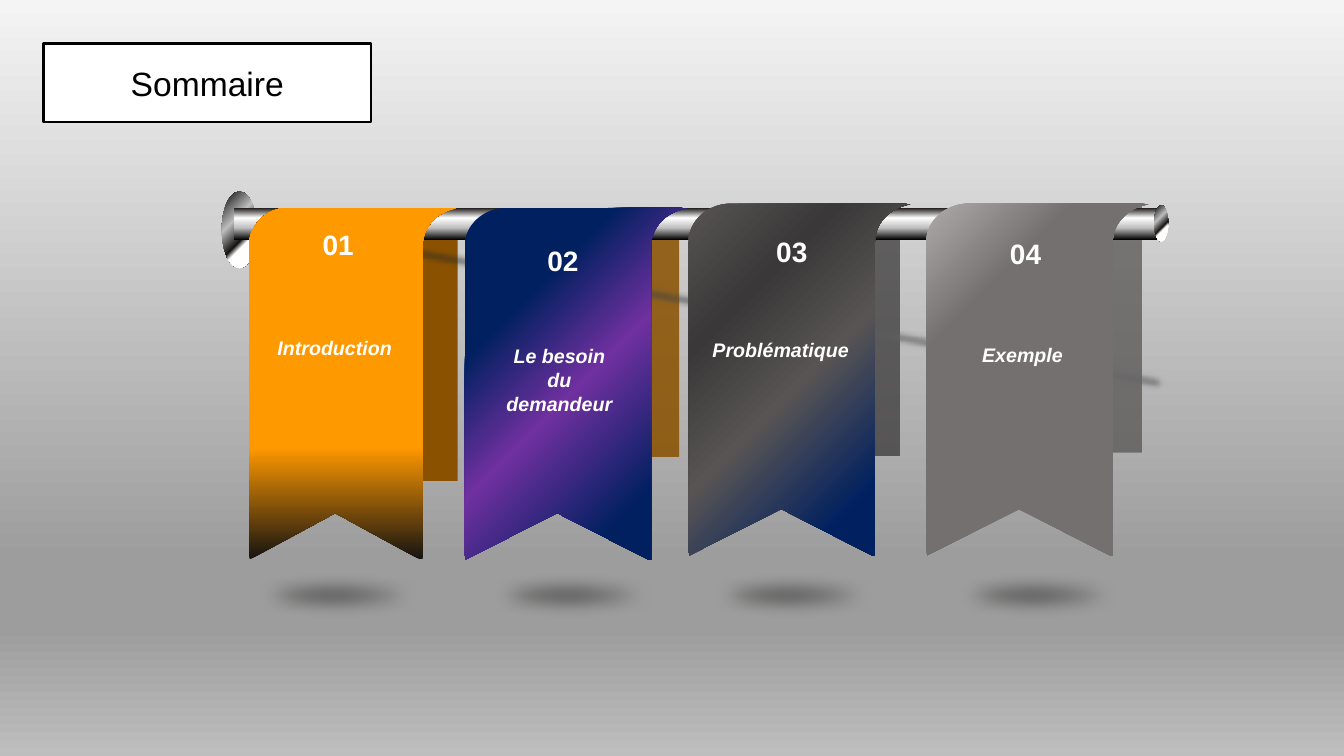
from dataclasses import dataclass

from lxml import etree
from pptx import Presentation
from pptx.dml.color import RGBColor as RGB
from pptx.enum.shapes import MSO_SHAPE as SHAPE
from pptx.enum.text import MSO_ANCHOR as ANCHOR, PP_ALIGN as ALIGN
from pptx.oxml import parse_xml
from pptx.oxml.ns import nsdecls, qn
from pptx.util import Pt


@dataclass(frozen=True)
class Theme:
    font: str = "Arial"
    title_size: int = 24
    number_size: int = 20
    label_size: int = 14
    white: str = "FFFFFF"
    black: str = "000000"
    orange_fold: str = "8A5200"
    grey_fold: str = "585454"
    dark_fold: str = "3A3838"
    # Gradient stops: position, colour, optional opacity (all in percent)
    backdrop: tuple = ((0, "F4F4F4"), (74, "9D9D9D"), (83, "9D9D9D"), (100, "BEBEBE"))
    rod: tuple = ((0, "151311"), (32, "FFFFFF"), (63, "BFBFBF"), (100, "000000"))
    cap: tuple = ((32, "FFFFFF"), (39, "151311"), (63, "BFBFBF"), (100, "000000"))
    shade: tuple = ((0, "151311", 63), (77, "666666"))
    orange: tuple = ((0, "151311"), (32, "FF9900"), (100, "FF9900"))
    violet: tuple = ((18, "002060"), (49, "7030A0"), (74, "002060"), (100, "002060"))
    dark: tuple = ((18, "002060"), (49, "585454"), (74, "3A3838"), (100, "585454"))
    grey: tuple = ((18, "757070"), (74, "757070"), (100, "AFABAB"))


def colour_xml(colour, opacity=100):
    return f'<a:srgbClr val="{colour}"><a:alpha val="{opacity * 1000}"/></a:srgbClr>'


def gradient_xml(stops, angle):
    """A linear gradient, or one spreading from the lower right corner if angle is None."""
    stop_list = "".join(f'<a:gs pos="{pos * 1000}">{colour_xml(*colour)}</a:gs>'
                        for pos, *colour in stops)
    if angle is None:
        course = ('<a:path path="circle">'
                  '<a:fillToRect l="100000" t="100000"/></a:path>')
    else:
        course = f'<a:lin ang="{angle * 60000}" scaled="0"/>'
    return (f'<a:gradFill {nsdecls("a")} rotWithShape="1">'
            f'<a:gsLst>{stop_list}</a:gsLst>{course}</a:gradFill>')


def bezier(p0, p1, p2, p3, steps=16):
    """Points along a cubic curve, without its start."""
    for i in range(1, steps + 1):
        t = i / steps
        u = 1 - t
        yield tuple(u**3 * a + 3 * u * u * t * b + 3 * u * t * t * c + t**3 * d
                    for a, b, c, d in zip(p0, p1, p2, p3))


# Banner outline for a width of 158.4 pt
BANNER_WIDTH = 158.4
BANNER_OUTLINE = [
    (30.5, 0), (153.4, 0), (158.4, 0.7), (157.7, 0.7),
    *bezier((157.7, 0.7), (143.3, 3.6), (133.2, 14.4), (133.2, 27.4)),
    (133.2, 251.3), (131, 251.3), (66.2, 218.2), (0.7, 251.3), (0, 247), (0, 27.4),
    *bezier((0, 27.4), (0, 12.2), (13.7, 0), (30.5, 0)),
]


class Deck:
    def __init__(self, theme):
        self.theme = theme
        self.prs = Presentation()
        self.prs.slide_width, self.prs.slide_height = Pt(960), Pt(540)
        self.s = self.prs.slides.add_slide(self.prs.slide_layouts[6])

    def set_fill(self, fill, element, xml):
        fill.solid()
        solid = element.find(".//" + qn("a:solidFill"))
        solid.getparent().replace(solid, parse_xml(xml))

    def background(self, stops, angle):
        self.set_fill(self.s.background.fill, self.s.element, gradient_xml(stops, angle))

    def finish(self, sp, xml):
        sp.shadow.inherit = False
        sp.line.fill.background()
        self.set_fill(sp.fill, sp.element, xml)

    def shape(self, kind, box, xml, rotation=0, soft_edge=0):
        sp = self.s.shapes.add_shape(kind, *map(Pt, box))
        sp.rotation = rotation
        self.finish(sp, xml)
        if soft_edge:
            effects = sp.element.spPr.find(qn("a:effectLst"))
            etree.SubElement(effects, qn("a:softEdge"), rad=str(int(Pt(soft_edge))))
        return sp

    def solid(self, box, colour, opacity=100):
        xml = f'<a:solidFill {nsdecls("a")}>{colour_xml(colour, opacity)}</a:solidFill>'
        return self.shape(SHAPE.RECTANGLE, box, xml)

    def banner(self, left, top, width, stops, angle):
        ratio = width / BANNER_WIDTH
        points = [(Pt(left + x * ratio), Pt(top + y)) for x, y in BANNER_OUTLINE]
        builder = self.s.shapes.build_freeform(*points[0])
        builder.add_line_segments(points[1:], close=True)
        self.finish(builder.convert_to_shape(), gradient_xml(stops, angle))

    def fill_text(self, tf, lines, size, colour, bold=False, italic=False):
        tf.word_wrap = True
        for i, line in enumerate(lines):
            p = tf.paragraphs[0] if i == 0 else tf.add_paragraph()
            p.text = line
            p.alignment = ALIGN.CENTER
            p.font.name, p.font.size = self.theme.font, Pt(size)
            p.font.bold, p.font.italic = bold, italic
            p.font.color.rgb = RGB.from_string(colour)

    def text(self, box, lines, size, italic=False):
        tf = self.s.shapes.add_textbox(*map(Pt, box)).text_frame
        tf.margin_left = tf.margin_top = tf.margin_right = tf.margin_bottom = 0
        self.fill_text(tf, lines, size, self.theme.white, bold=True, italic=italic)

    def title(self, box, text):
        sp = self.solid(box, self.theme.white)
        sp.line.color.rgb = RGB.from_string(self.theme.black)
        sp.line.width = Pt(2)
        sp.text_frame.vertical_anchor = ANCHOR.MIDDLE
        self.fill_text(sp.text_frame, [text], self.theme.title_size, self.theme.black)


def main():
    theme = Theme()
    deck = Deck(theme)
    deck.background(theme.backdrop, 90)

    # Folds hanging behind the rod
    for box, colour, opacity in [
        ((764.6, 145.4, 51, 178), theme.grey_fold, 75),
        ((434.2, 148.3, 51, 178), theme.orange_fold, 86),
        ((591.8, 147.6, 51, 178), theme.dark_fold, 75),
        ((250.6, 149.8, 76.3, 193.7), theme.orange_fold, 100),
    ]:
        deck.solid(box, colour, opacity)

    # Rod with its end caps and its shadow on the wall
    shade, cap = gradient_xml(theme.shade, 0), gradient_xml(theme.cap, None)
    deck.shape(SHAPE.OVAL, (158.4, 136.8, 25.2, 54.7), cap)
    deck.shape(SHAPE.RECTANGLE, (168, 208, 670, 16.6), shade, rotation=9.9, soft_edge=5)
    deck.shape(SHAPE.RECTANGLE, (167, 148.3, 662, 23), gradient_xml(theme.rod, 90))
    deck.shape(SHAPE.OVAL, (824.4, 146.5, 10.1, 26), cap)

    # Shadows on the floor
    for left in (157.7, 324.7, 482.4, 657.4):
        deck.shape(SHAPE.OVAL, (left, 407.5, 167.8, 35.3), shade, soft_edge=12.5)

    # Banners: outline, number box, label box
    for number, label, outline, number_box, label_box in [
        ("01", ["Introduction"], (177.8, 148.3, 147.6, theme.orange, 270),
         (205.9, 162.7, 71.3, 18.7), (175, 239.8, 128.2, 77)),
        ("02", ["Le besoin", "du", "demandeur"], (331.9, 148.3, 158.4, theme.violet, None),
         (362.9, 174.2, 78.5, 23), (334.1, 246, 131, 51)),
        ("03", ["Problématique"], (491.8, 145.4, 158.4, theme.dark, None),
         (518.4, 167.8, 94.3, 23), (496.8, 241, 121.7, 59)),
        ("04", ["Exemple"], (661.7, 145.4, 158.4, theme.grey, None),
         (690.5, 169.2, 84.2, 31.7), (667.4, 245, 126, 51)),
    ]:
        deck.banner(*outline)
        deck.text(number_box, [number], theme.number_size)
        deck.text(label_box, label, theme.label_size, italic=True)

    deck.title((31, 31, 234, 56.2), "Sommaire")
    deck.prs.save("out.pptx")


if __name__ == "__main__":
    main()
